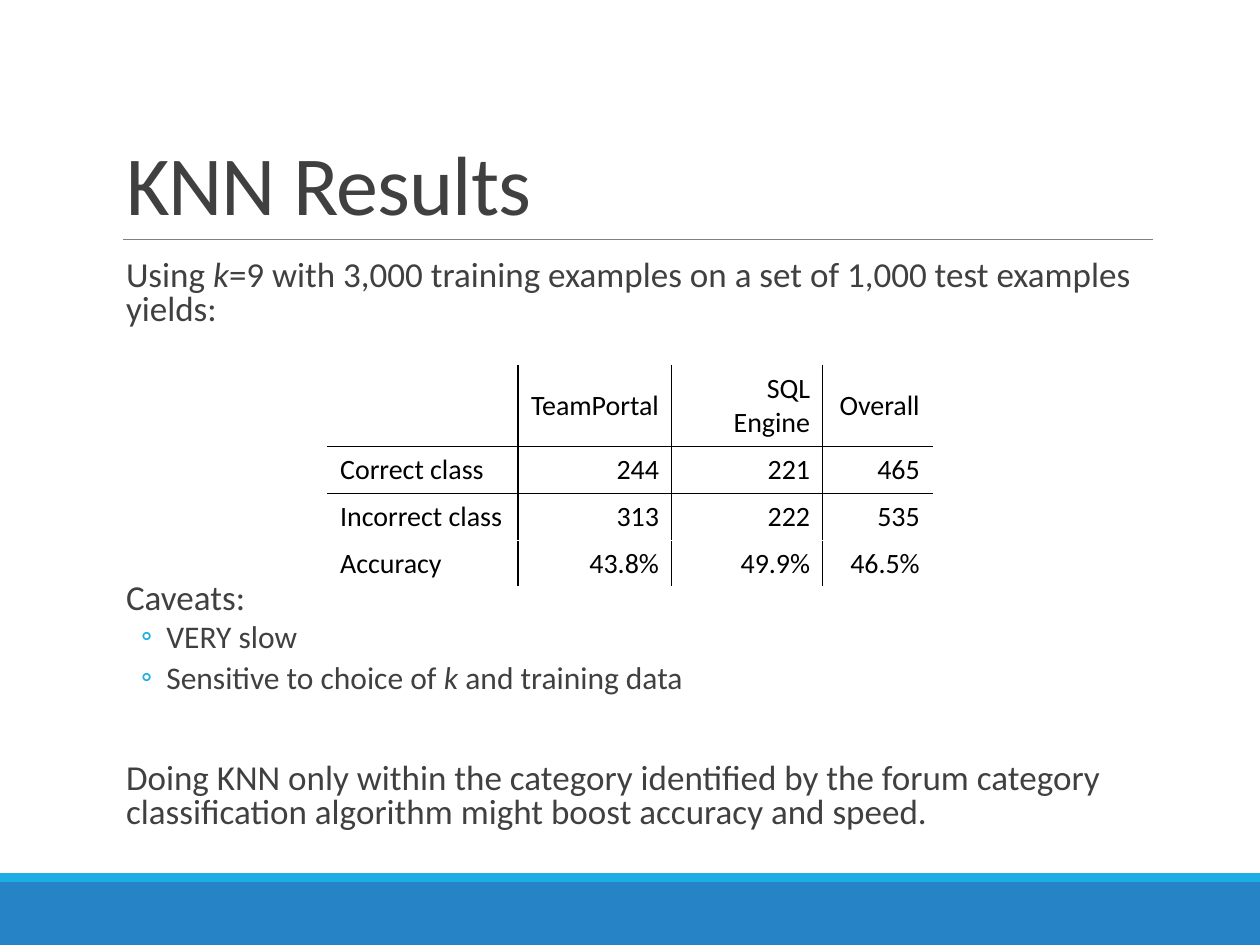
from lxml.etree import SubElement
from pptx import Presentation
from pptx.dml.color import RGBColor
from pptx.enum.shapes import MSO_CONNECTOR, MSO_SHAPE
from pptx.enum.text import MSO_ANCHOR, MSO_AUTO_SIZE, PP_ALIGN
from pptx.oxml.ns import qn
from pptx.util import Inches, Pt

FONT = "Calibri"
COLORS = {"text": "404040", "table": "000000", "rule": "808080",
          "accent": "1CADE4", "footer": "2683C6"}

TITLE = "KNN Results"
# level, space before in points, runs; the runs listed in ITALIC are slanted
BODY = [
    (0, 12, ["Using ", "k", "=9 with 3,000 training examples on a set of "
             "1,000 test examples yields:"]),
    (0, 144, ["Caveats:"]),
    (1, 2, ["VERY slow"]),
    (1, 2, ["Sensitive to choice of ", "k", " and training data"]),
    (0, 35, ["Doing KNN only within the category identified by the forum "
             "category classification algorithm might boost accuracy and speed."]),
]
ITALIC = {"k"}
# size, space after, left margin (inches), first-line indent (inches)
LEVELS = [(20, 2, 0.1, 0), (18, 4, 0.42, -0.2)]

RESULTS = [
    ["", "TeamPortal", "SQL Engine", "Overall"],
    ["Correct class", "244", "221", "465"],
    ["Incorrect class", "313", "222", "535"],
    ["Accuracy", "43.8%", "49.9%", "46.5%"],
]
COLUMN_WIDTHS = [1.51, 1.22, 1.2, 0.87]
ROW_HEIGHT = 0.37
RULED_ROWS = {0, 1}  # rows with a line below

BARS = [("footer", 7, 0.5), ("accent", 6.93, 0.07)]  # colour, top, height


def rgb(name):
    return RGBColor.from_string(COLORS[name])


def style_run(run, size, color):
    run.font.name = FONT
    run.font.size = Pt(size)
    run.font.color.rgb = rgb(color)


def place(shape, left, top, width, height):
    shape.left, shape.top = Inches(left), Inches(top)
    shape.width, shape.height = Inches(width), Inches(height)


def set_bullet(paragraph, margin, indent, character):
    properties = paragraph._p.get_or_add_pPr()
    properties.set("marL", str(Inches(margin)))
    properties.set("indent", str(Inches(indent)))
    if character:
        color = SubElement(properties, qn("a:buClr"))
        SubElement(color, qn("a:srgbClr"), val=COLORS["accent"])
        SubElement(properties, qn("a:buFont"), typeface=FONT)
        SubElement(properties, qn("a:buChar"), char=character)
    else:
        SubElement(properties, qn("a:buNone"))


def set_borders(cell, sides):
    """Draw the given sides, named in the order L, R, T, B."""
    for side in sides:
        line = SubElement(cell._tc.get_or_add_tcPr(), qn(f"a:ln{side}"), w=str(Pt(1)))
        fill = SubElement(line, qn("a:solidFill"))
        SubElement(fill, qn("a:srgbClr"), val=COLORS["table"])


def add_frame(slide):
    for color, top, height in BARS:
        bar = slide.shapes.add_shape(MSO_SHAPE.RECTANGLE, 0, Inches(top),
                                     Inches(10), Inches(height))
        bar.shadow.inherit = False
        bar.fill.solid()
        bar.fill.fore_color.rgb = rgb(color)
        bar.line.fill.background()
    rule = slide.shapes.add_connector(MSO_CONNECTOR.STRAIGHT, Inches(0.98),
                                      Inches(1.9), Inches(9.15), Inches(1.9))
    rule.line.color.rgb = rgb("rule")
    rule.line.width = Pt(0.5)
    SubElement(rule._element.spPr, qn("a:effectLst"))


def fill_title(title):
    place(title, 0.9, 0.31, 8.25, 1.59)
    frame = title.text_frame
    frame.text = TITLE
    frame.auto_size = MSO_AUTO_SIZE.NONE
    frame.vertical_anchor = MSO_ANCHOR.BOTTOM
    paragraph = frame.paragraphs[0]
    paragraph.alignment = PP_ALIGN.LEFT
    paragraph.line_spacing = 0.85
    run = paragraph.runs[0]
    style_run(run, 48, "text")
    run.font._element.set("spc", "-50")


def fill_body(body):
    place(body, 0.9, 2.02, 8.25, 4.86)
    frame = body.text_frame
    frame.auto_size = MSO_AUTO_SIZE.NONE
    frame.margin_left = frame.margin_right = 0
    for index, (level, before, texts) in enumerate(BODY):
        paragraph = frame.add_paragraph() if index else frame.paragraphs[0]
        size, after, margin, indent = LEVELS[level]
        paragraph.level = level
        paragraph.line_spacing = 0.8
        paragraph.space_before, paragraph.space_after = Pt(before), Pt(after)
        set_bullet(paragraph, margin, indent, "◦" if level else None)
        for text in texts:
            run = paragraph.add_run()
            run.text = text
            style_run(run, size, "text")
            run.font.italic = text in ITALIC


def add_results(slide):
    row_count, column_count = len(RESULTS), len(COLUMN_WIDTHS)
    table = slide.shapes.add_table(
        row_count, column_count, Inches(2.6), Inches(2.9),
        Inches(sum(COLUMN_WIDTHS)), Inches(ROW_HEIGHT * row_count)).table
    table.first_row = table.horz_banding = False
    for column, width in zip(table.columns, COLUMN_WIDTHS):
        column.width = Inches(width)
    for r, values in enumerate(RESULTS):
        table.rows[r].height = Inches(ROW_HEIGHT)
        for c, value in enumerate(values):
            cell = table.cell(r, c)
            cell.text = value
            cell.vertical_anchor = MSO_ANCHOR.MIDDLE
            paragraph = cell.text_frame.paragraphs[0]
            paragraph.alignment = PP_ALIGN.RIGHT if c else PP_ALIGN.LEFT
            for run in paragraph.runs:
                style_run(run, 16, "table")
            if not value:  # keeps the empty cell from stretching its row
                SubElement(paragraph._p, qn("a:endParaRPr"), sz="1600")
            drawn = {"L": c > 0, "R": c < column_count - 1,
                     "T": r - 1 in RULED_ROWS, "B": r in RULED_ROWS}
            set_borders(cell, [side for side in drawn if drawn[side]])
            cell.fill.background()


def main():
    presentation = Presentation()
    presentation.slide_width, presentation.slide_height = Inches(10), Inches(7.5)
    slide = presentation.slides.add_slide(presentation.slide_layouts[1])
    add_frame(slide)
    fill_title(slide.shapes.title)
    fill_body(slide.placeholders[1])
    add_results(slide)
    presentation.save("out.pptx")


if __name__ == "__main__":
    main()
